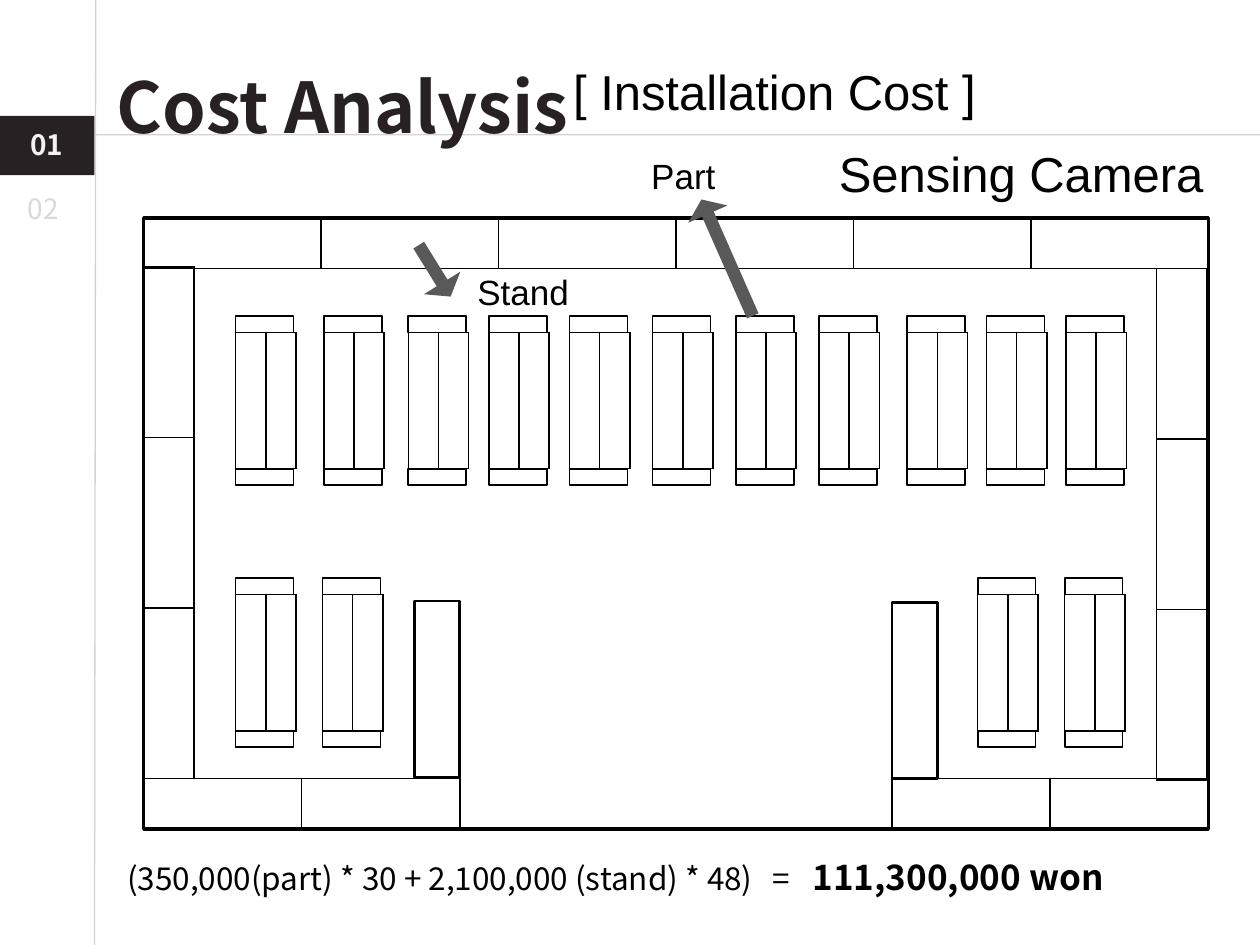
import lxml.etree
import pptx
import pptx.dml.color
import pptx.enum.shapes
import pptx.enum.text
import pptx.oxml
import pptx.oxml.ns
import pptx.util

SHAPES = pptx.enum.shapes.MSO_SHAPE
COLUMNS, ROWS = 100, 75


class FloorPlan:
    """Draws styled elements on a slide measured in grid columns and rows."""

    colours = {
        "ink": "000000", "title": "272123", "rule": "A6A6A6", "muted": "D9D9D9",
        "active": "F2F2F2", "arrow": "595959",
    }
    latin, korean = "Arial", "Noto Sans CJK KR"

    def __init__(self, deck):
        self.deck = deck
        self.page = deck.slides.add_slide(deck.slide_layouts[6])

    def across(self, columns):
        return round(self.deck.slide_width * columns / COLUMNS)

    def down(self, rows):
        return round(self.deck.slide_height * rows / ROWS)

    def area(self, left, top, width, height):
        return self.across(left), self.down(top), self.across(width), self.down(height)

    def rgb(self, name):
        return pptx.dml.color.RGBColor.from_string(self.colours[name])

    def stroke(self, tag, name, points, opacity=100):
        line = lxml.etree.Element(pptx.oxml.ns.qn(tag), w=str(pptx.util.Pt(points)))
        fill = lxml.etree.SubElement(line, pptx.oxml.ns.qn("a:solidFill"))
        colour = lxml.etree.SubElement(
            fill, pptx.oxml.ns.qn("a:srgbClr"), val=self.colours[name])
        if opacity < 100:
            lxml.etree.SubElement(
                colour, pptx.oxml.ns.qn("a:alpha"), val=str(opacity * 1000))
        return line

    def rule(self, start, end):
        connector = self.page.shapes.add_connector(
            pptx.enum.shapes.MSO_CONNECTOR.STRAIGHT,
            self.across(start[0]), self.down(start[1]),
            self.across(end[0]), self.down(end[1]))
        properties = connector._element.spPr
        properties.append(self.stroke("a:ln", "rule", 0.75, 50))
        lxml.etree.SubElement(properties, pptx.oxml.ns.qn("a:effectLst"))

    def shape(self, place, kind=SHAPES.RECTANGLE, fill=None, line=None):
        shape = self.page.shapes.add_shape(kind, *self.area(*place))
        shape.shadow.inherit = False
        if fill:
            shape.fill.solid()
            shape.fill.fore_color.rgb = self.rgb(fill)
        else:
            shape.fill.background()
        if line:
            shape.line.color.rgb = self.rgb("ink")
            shape.line.width = pptx.util.Pt(line)
        else:
            shape.line.fill.background()
        return shape

    def arrow(self, place, rotation):
        arrow = self.shape(place, SHAPES.DOWN_ARROW, fill="arrow")
        arrow.adjustments[0], arrow.adjustments[1] = 0.294, 0.373
        arrow.rotation = rotation

    def table(self, left, top, width, height, columns=1, rows=1):
        frame = self.page.shapes.add_table(
            rows, columns, *self.area(left, top, width, height))
        table = frame.table
        table.first_row = table.horz_banding = False
        for cell in table.iter_cells():
            cell.fill.background()
            properties = cell._tc.get_or_add_tcPr()
            for index, side in enumerate("LRTB"):
                properties.insert(index, self.stroke(f"a:ln{side}", "ink", 1))

    def text(self, place, spans, font=None, colour="ink", outline=None,
             spacing=None, tabs=()):
        box = self.page.shapes.add_textbox(*self.area(*place))
        box.text_frame.word_wrap = True
        box.text_frame.auto_size = pptx.enum.text.MSO_AUTO_SIZE.SHAPE_TO_FIT_TEXT
        para = box.text_frame.paragraphs[0]
        if tabs:
            stops = lxml.etree.SubElement(
                para._p.get_or_add_pPr(), pptx.oxml.ns.qn("a:tabLst"))
            for stop in tabs:
                lxml.etree.SubElement(stops, pptx.oxml.ns.qn("a:tab"),
                                      pos=str(self.across(stop)), algn="l")
        if spacing:
            para.line_spacing = spacing
        for words, size, bold in spans:
            span = para.add_run()
            span.text = words
            span.font.size = pptx.util.Pt(size)
            span.font.bold = bold
            span.font.name = font or self.latin
            span.font.color.rgb = self.rgb(colour)
            properties = span._r.get_or_add_rPr()
            if font:
                east = lxml.etree.Element(pptx.oxml.ns.qn("a:ea"), typeface=font)
                properties.find(pptx.oxml.ns.qn("a:latin")).addnext(east)
            if outline:
                properties.insert(0, self.stroke("a:ln", outline, 0.75, 30))

    def stands(self, places):
        for left, top in places:
            self.table(left, top, 4.6, 10.8, columns=2)
        for left, top in places:
            for end in (top - 1.3, top + 10.8):
                self.shape((left, end, 4.6, 1.3), line=1)


def main():
    deck = pptx.Presentation()
    deck.slide_width, deck.slide_height = pptx.util.Inches(10), pptx.util.Inches(7.5)
    plan = FloorPlan(deck)
    korean = plan.korean

    plan.rule((7.6, 0), (7.5, ROWS))
    plan.rule((COLUMNS, 10.7), (7.6, 10.7))
    plan.text((8.3, 1.2, 46.2, 9.9), [("Cost Analysis", 40, True)], korean,
              "title", "ink", spacing=1.5)
    plan.text((1.2, 14.7, 4.9, 3.7), [("02", 16, False)], korean, "muted", "ink")
    plan.shape((0, 9.2, 7.5, 4.7), fill="title")
    plan.text((1.4, 9.6, 6.1, 3.7), [("01", 16, True)], korean, "active", "muted")
    plan.text((44.5, 4.4, 34.2, 5.7), [("[ Installation Cost ]", 28, False)])
    plan.text((65.6, 10.9, 31.7, 5.7), [("Sensing Camera", 28, False)])

    plan.table(11.4, 17.3, 84.5, 4, columns=6)
    plan.shape((11.4, 17.3, 84.5, 48.5), line=2)
    for left, top in ((11.4, 21.2), (91.8, 21.3)):
        plan.table(left, top, 4, 40.6, rows=3)
    for left in (11.4, 70.8):
        plan.table(left, 61.8, 25.1, 4, columns=2)

    upper = (18.7, 25.7, 32.4, 38.8, 45.2, 51.8, 58.4, 65, 72, 78.3, 84.6)
    lower = (18.7, 25.6, 77.6, 84.5)
    plan.stands([(left, 26.4) for left in upper] + [(left, 47.2) for left in lower])
    for left, top in ((32.9, 47.7), (70.8, 47.8)):
        plan.shape((left, top, 3.6, 14), line=1.5)

    plan.text((9.1, 67.4, 88.9, 4.4),
              [("(350,000(part) * 30 + 2,100,000 (stand) * 48)\t=\t", 18, False),
               ("111,300,000 won", 20, True)], korean, tabs=(51.2, 54.4))
    plan.arrow((56, 15.4, 3.4, 10.1), 156.2)
    plan.text((50.7, 11.8, 7.4, 4.4), [("Part", 20, False)])
    plan.text((36.9, 21, 11.3, 4.4), [("Stand", 20, False)])
    plan.arrow((32.8, 19.1, 3.4, 4.8), 328.3)
    deck.save("out.pptx")


if __name__ == "__main__":
    main()
